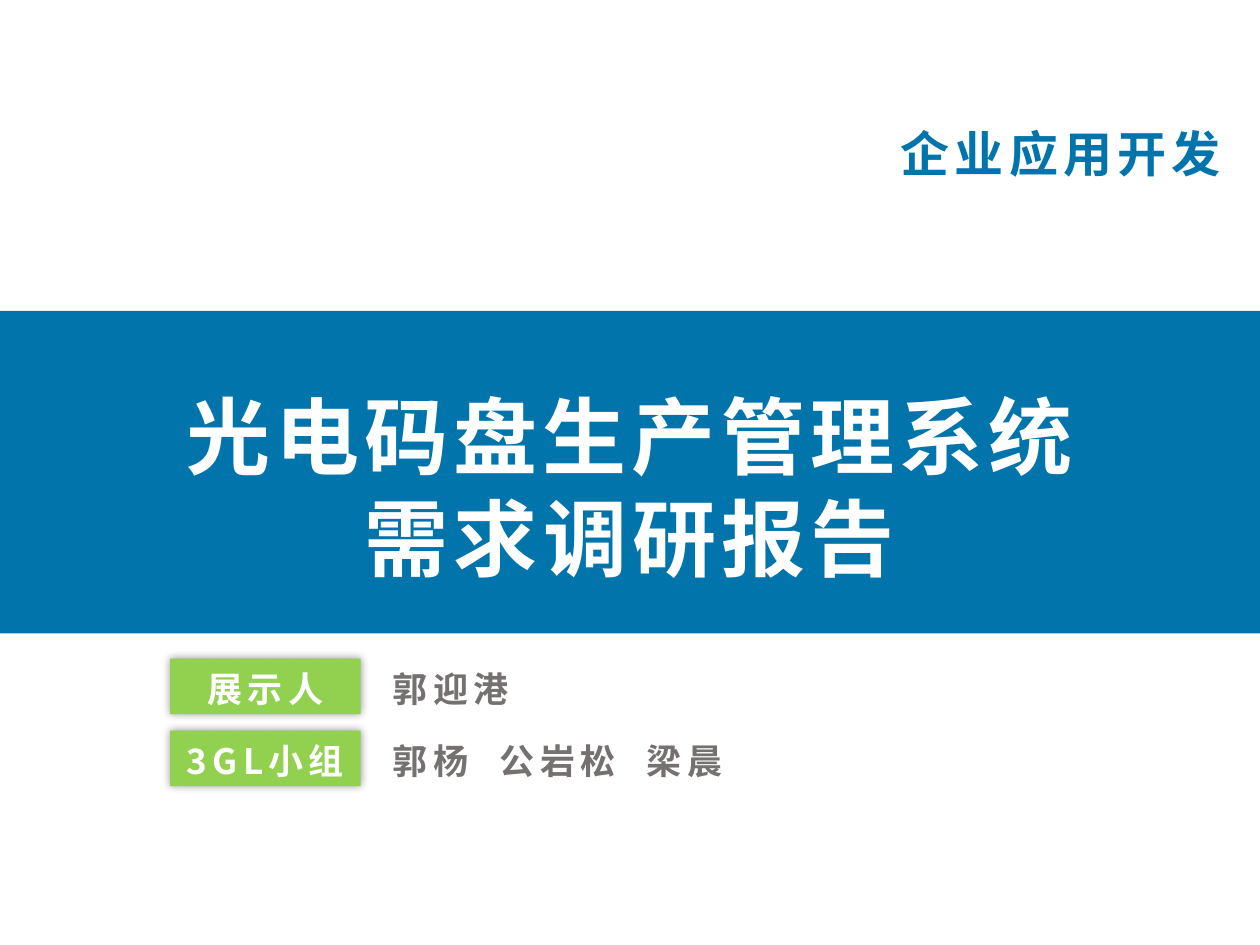
from collections import namedtuple
from dataclasses import dataclass

from lxml.etree import SubElement
from pptx import Presentation
from pptx.dml.color import RGBColor
from pptx.enum.shapes import MSO_SHAPE as Shape
from pptx.enum.text import MSO_ANCHOR as Anchor, MSO_AUTO_SIZE as AutoSize, PP_ALIGN as Align
from pptx.oxml.ns import qn
from pptx.util import Cm, Pt

Box = namedtuple("Box", "left top width height")


@dataclass(frozen=True)
class Theme:
    """Colours and type sizes of the deck."""
    blue: str = "0174AB"
    green: str = "92D14F"
    grey: str = "767171"
    white: str = "FFFFFF"
    shadow: str = "000000"
    font: str = "Noto Sans CJK SC"
    title: int = 48
    course: int = 28
    team: int = 20
    leading: float = 1.21
    drop: float = 0.06
    spacing: int = 3


THEME = Theme()


def write(shape, text, size, color, align=Align.LEFT, anchor=Anchor.TOP, wrap=True):
    """Fill a shape with bold, letter-spaced text."""
    frame = shape.text_frame
    frame.text = text
    frame.word_wrap = wrap
    frame.auto_size = AutoSize.NONE
    frame.vertical_anchor = anchor
    frame.margin_left = frame.margin_right = Cm(0.25)
    frame.margin_top = Cm(0.13) + Pt(THEME.drop * size)
    frame.margin_bottom = Cm(0.13) - Pt(THEME.drop * size)
    for para in frame.paragraphs:
        para.alignment = align
        para.line_spacing = Pt(size * THEME.leading)
        for span in para.runs:
            span.font.size = Pt(size)
            span.font.bold = True
            span.font.name = THEME.font
            span.font.color.rgb = RGBColor.from_string(color)
    for properties in shape.element.iter(qn("a:rPr")):
        properties.set("spc", str(THEME.spacing * 100))
        SubElement(properties, qn("a:ea"), typeface=THEME.font)


def add_panel(page, box, color):
    """Add a plain filled rectangle."""
    panel = page.shapes.add_shape(Shape.RECTANGLE, *box)
    panel.shadow.inherit = False
    panel.fill.solid()
    panel.fill.fore_color.rgb = RGBColor.from_string(color)
    panel.line.fill.background()
    return panel


def add_glow_shadow(shape):
    """Give a shape a soft shadow on all sides."""
    effects = shape.element.spPr.find(qn("a:effectLst"))
    shadow = SubElement(effects, qn("a:outerShdw"), blurRad=str(Pt(5)), dist="0",
                        dir="0", algn="ctr", rotWithShape="0")
    color = SubElement(shadow, qn("a:srgbClr"), val=THEME.shadow)
    SubElement(color, qn("a:alpha"), val="40000")


def set_tabs(shape, stops):
    """Set the left tab stops of a shape's paragraphs."""
    for para in shape.element.iter(qn("a:pPr")):
        tabs = SubElement(para, qn("a:tabLst"))
        for stop in stops:
            SubElement(tabs, qn("a:tab"), pos=str(stop), algn="l")


def add_course(page, box):
    """Write the course name."""
    course = page.shapes.add_textbox(*box)
    write(course, "企业应用开发", THEME.course, THEME.blue)


def add_title_band(page, box):
    """Draw the blue band and set the title on it."""
    band = add_panel(page, box, THEME.blue)
    title = page.shapes.title
    band.element.addnext(title.element)
    title.left, title.top = box.left + Cm(2.95), box.top + Cm(1.24)
    title.width, title.height = box.width - 2 * Cm(2.95), Cm(4.37)
    write(title, "光电码盘生产管理系统\n需求调研报告", THEME.title, THEME.white, Align.CENTER)


def add_team(page, box):
    """List the presenter and the group, one labelled row each."""
    rows = [("展示人", "郭迎港"), ("3GL小组", "郭杨\t公岩松\t梁晨")]
    height, label_width, indent = Cm(1.12), Cm(3.84), Cm(4.24)
    pitch = (box.height - height) // (len(rows) - 1)
    for index, (role, names) in enumerate(rows):
        top = box.top + index * pitch
        label = add_panel(page, Box(box.left, top, label_width, height), THEME.green)
        add_glow_shadow(label)
        write(label, role, THEME.team, THEME.white, Align.CENTER, Anchor.MIDDLE, wrap=False)
        people = page.shapes.add_textbox(box.left + indent, top, box.width - indent, height)
        write(people, names, THEME.team, THEME.grey)
        set_tabs(people, [Cm(2.16), Cm(5.12)])


def main():
    """Build and save the cover slide."""
    deck = Presentation()
    deck.slide_width, deck.slide_height = Cm(25.4), Cm(19.05)
    page = deck.slides.add_slide(deck.slide_layouts[5])
    add_course(page, Box(Cm(17.91), Cm(2.29), Cm(7.49), Cm(2.64)))
    add_title_band(page, Box(0, Cm(6.27), deck.slide_width, Cm(6.5)))
    add_team(page, Box(Cm(3.43), Cm(13.28), Cm(14.15), Cm(2.57)))
    deck.save("out.pptx")


if __name__ == "__main__":
    main()
